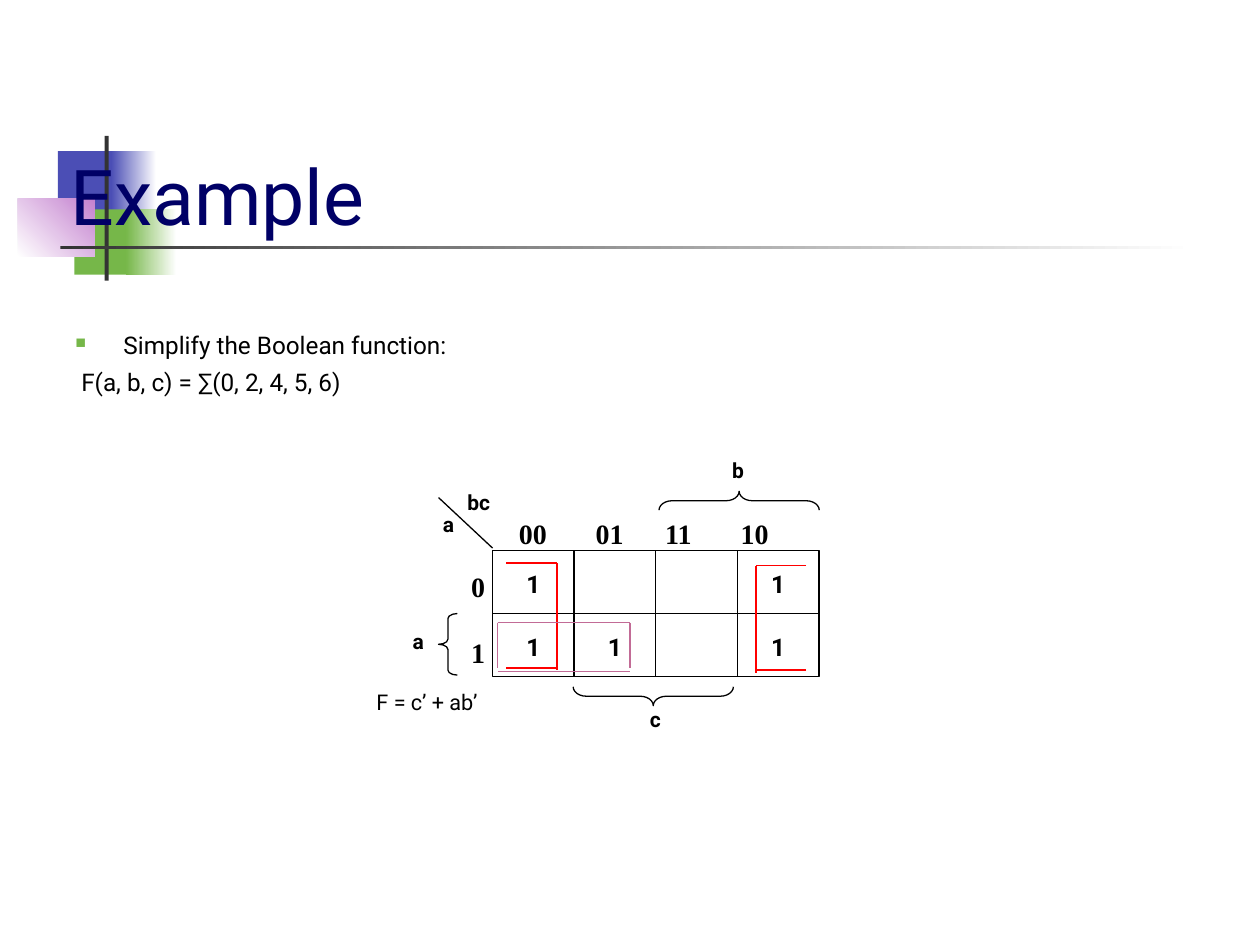
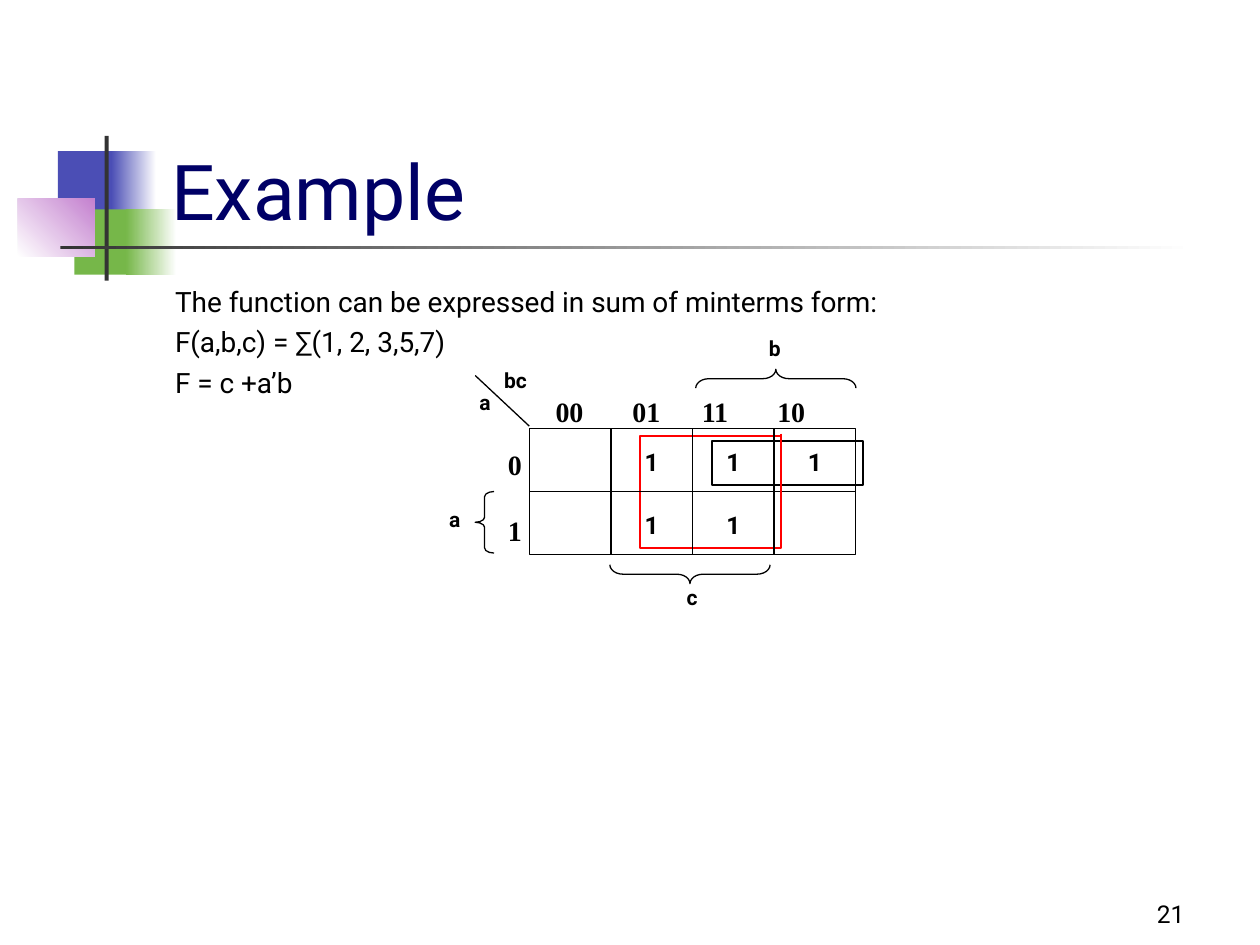
from lxml import etree
from pptx import Presentation
from pptx.dml.color import RGBColor
from pptx.enum.shapes import MSO_CONNECTOR, MSO_SHAPE
from pptx.enum.text import MSO_ANCHOR, PP_ALIGN
from pptx.oxml.ns import qn
from pptx.util import Cm, Pt

RECT, BRACE = MSO_SHAPE.RECTANGLE, MSO_SHAPE.LEFT_BRACE
STRAIGHT = MSO_CONNECTOR.STRAIGHT
LEFT, CENTER, RIGHT = PP_ALIGN.LEFT, PP_ALIGN.CENTER, PP_ALIGN.RIGHT
TOP, BOTTOM = MSO_ANCHOR.TOP, MSO_ANCHOR.BOTTOM
SANS, SERIF = "Roboto", "Times New Roman"
BLACK, WHITE, DARK, NAVY = "000000", "FFFFFF", "333333", "000066"
BLUE, GREEN, VIOLET = "4B4EB5", "76B749", "C481CF"
RED, PINK = "FF0000", "C26B96"
CELL_W, CELL_H = 1.645, 1.27


def rgb(value):
    return RGBColor.from_string(value)


def add_shape(slide, kind, x, y, w, h, fill=None, line=None, width=0.75):
    sp = slide.shapes.add_shape(kind, Cm(x), Cm(y), Cm(w), Cm(h))
    sp.shadow.inherit = False
    if fill:
        sp.fill.solid()
        sp.fill.fore_color.rgb = rgb(fill)
    else:
        sp.fill.background()
    if line:
        sp.line.color.rgb = rgb(line)
        sp.line.width = Pt(width)
    else:
        sp.line.fill.background()
    return sp


def add_fade(slide, x, y, w, h, start, end, angle=0):
    sp = add_shape(slide, RECT, x, y, w, h)
    sp.fill.gradient()
    sp.fill.gradient_angle = angle
    for stop, color in zip(sp.fill.gradient_stops, (start, end)):
        stop.color.rgb = rgb(color)


def add_line(slide, x1, y1, x2, y2, color=BLACK, width=0.75):
    cx = slide.shapes.add_connector(STRAIGHT, Cm(x1), Cm(y1), Cm(x2), Cm(y2))
    cx.line.color.rgb = rgb(color)
    cx.line.width = Pt(width)
    etree.SubElement(cx._element.spPr, qn("a:effectLst"))


def add_text(slide, x, y, w, h, lines, size, font=SANS, color=BLACK,
             bold=False, align=LEFT, anchor=TOP, before=0):
    tf = slide.shapes.add_textbox(Cm(x), Cm(y), Cm(w), Cm(h)).text_frame
    tf.word_wrap = True
    tf.vertical_anchor = anchor
    for i, line in enumerate(lines):
        p = tf.add_paragraph() if i else tf.paragraphs[0]
        p.text = line
        p.alignment = align
        p.space_before = Pt(before)
        p.font.size = Pt(size)
        p.font.name = font
        p.font.bold = bold
        p.font.color.rgb = rgb(color)
    return tf.paragraphs


def set_indent(p, left, first=0):
    pPr = p._p.get_or_add_pPr()
    pPr.set("marL", str(Cm(left)))
    pPr.set("indent", str(Cm(first)))
    return pPr


def add_bullet(p):
    pPr = set_indent(p, 0.97, -0.97)
    color = etree.Element(qn("a:buClr"))
    etree.SubElement(color, qn("a:srgbClr"), val=GREEN)
    bullet = [color, etree.Element(qn("a:buSzPct"), val="60000"),
              etree.Element(qn("a:buChar"), char="■")]
    at = list(pPr).index(pPr.find(qn("a:defRPr")))
    pPr[at:at] = bullet


def add_tabs(p, stops):
    pPr = p._p.get_or_add_pPr()
    tabs = etree.Element(qn("a:tabLst"))
    for stop in stops:
        etree.SubElement(tabs, qn("a:tab"), pos=str(Cm(stop)), algn="l")
    pPr.find(qn("a:defRPr")).addprevious(tabs)


def add_frame(slide, title, x, y, w):
    add_shape(slide, RECT, 1.17, 3.05, 1.22, 1.32, BLUE)
    add_fade(slide, 2.24, 3.05, 0.91, 1.32, BLUE, WHITE)
    add_shape(slide, RECT, 1.5, 4.22, 1.17, 1.32, GREEN)
    add_fade(slide, 2.54, 4.22, 1.02, 1.32, GREEN, WHITE)
    add_fade(slide, 0.36, 4.01, 1.55, 1.17, WHITE, VIOLET, 45)
    add_shape(slide, RECT, 2.11, 2.74, 0.08, 2.92, DARK)
    add_fade(slide, 1.22, 4.95, 22.86, 0.08, DARK, WHITE)
    add_text(slide, x, y, w, 3.18, [title], 44, color=NAVY, anchor=BOTTOM)


def add_karnaugh_map(slide, x, y, ones):
    w, h = 4 * CELL_W, 2 * CELL_H
    add_shape(slide, RECT, x, y, w, h, line=BLACK)
    add_line(slide, x, y + CELL_H, x + w, y + CELL_H)
    for col in range(1, 4):
        add_line(slide, x + col * CELL_W, y, x + col * CELL_W, y + h)
    for row, col in ones:
        add_text(slide, x + col * CELL_W, y + 0.25 + row * CELL_H,
                 CELL_W, 1.02, ["1"], 14, bold=True, align=CENTER)

    add_line(slide, x, y - 0.05, x - 1.09, y - 1.07)
    for label, dx, dy, lw, lh in (
            ("a", -1.5, -0.91, 1.22, 1.02), ("bc", -0.99, -1.35, 1.42, 0.81),
            ("a", -2.11, 1.45, 1.22, 1.02), ("b", 4.34, -2.01, 1.22, 0.81),
            ("c", 2.67, 3.02, 1.22, 0.76)):
        add_text(slide, x + dx, y + dy, lw, lh, [label], 12, bold=True,
                 align=CENTER)
    for dx, dy, length, rotation, curve in (
            (-1.09, 1.27, 1.24, 0, 0.27), (4.78, -2.62, 3.23, 90, 0.7),
            (3.05, 1.32, 3.23, 270, 0.7)):
        sp = add_shape(slide, BRACE, x + dx, y + dy, 0.38, length, line=BLACK)
        sp.rotation = rotation
        sp.adjustments[0] = curve

    rows = add_text(slide, x - 0.84, y + 0.25, 0.94, 2.16, ["0", "1"], 16,
                    SERIF, bold=True, align=RIGHT)
    rows[1].space_before = Pt(18.5)
    cols = add_text(slide, x + 0.28, y - 0.81, 6.12, 1.02,
                    ["00\t01\t11\t10"], 16, SERIF, bold=True)
    add_tabs(cols[0], (1.55, 2.95, 4.47))


def add_loops(slide, x, y):
    for x1, y1, x2, y2, color, width in (
            (1.3, 0.25, 1.3, 2.41, RED, 1), (5.31, 0.3, 5.31, 2.46, RED, 0.75),
            (1.3, 0.25, 0.28, 0.25, RED, 1), (1.3, 2.36, 0.28, 2.36, RED, 1),
            (6.32, 0.3, 5.31, 0.3, RED, 1), (6.32, 2.41, 5.31, 2.41, RED, 1),
            (0.1, 1.45, 2.77, 1.45, PINK, 0.75),
            (0.1, 2.44, 2.77, 2.44, PINK, 0.75),
            (2.77, 1.45, 2.77, 2.36, PINK, 0.75),
            (0.1, 1.45, 0.1, 2.36, PINK, 0.75)):
        add_line(slide, x + x1, y + y1, x + x2, y + y2, color, width)


def build_simplify(slide):
    add_frame(slide, "Example", 1.17, 1.8, 22.86)
    task, function, result = add_text(
        slide, 1.27, 6.53, 22.86, 10.67,
        ["Simplify the Boolean function:", "F(a, b, c) = ∑(0, 2, 4, 5, 6)",
         "F = c’ + ab’"], 13.9, before=4.5)
    add_bullet(task)
    set_indent(function, 0.12)
    set_indent(result, 6.07)
    result.space_before = Pt(167)
    result.font.size = Pt(12.4)
    x, y = 9.93, 11.1
    add_karnaugh_map(slide, x, y, ((0, 0), (0, 3), (1, 0), (1, 1), (1, 3)))
    add_loops(slide, x, y)


def build_minterms(slide):
    add_frame(slide, "Example", 3.2, 1.7, 21.64)
    x, y = 10.67, 8.64
    add_shape(slide, RECT, x + 2.24, y + 0.15, 2.84, 2.26, WHITE, RED, 1)
    add_shape(slide, RECT, x + 3.68, y + 0.25, 3.05, 0.89, WHITE, BLACK, 1)
    add_text(slide, 3.28, 5.61, 21.59, 11.43,
             ["The function can be expressed in sum of minterms form:",
              "F(a,b,c) = ∑(1, 2, 3,5,7)", "F = c +a’b"], 16, before=4)
    add_text(slide, 18.85, 17.58, 5.28, 1.27, ["21"], 14, align=RIGHT,
             anchor=BOTTOM)
    add_karnaugh_map(slide, x, y, ((0, 1), (0, 2), (0, 3), (1, 1), (1, 2)))
    add_line(slide, x + 5.08, y + 0.1, x + 5.08, y + 1.52, RED, 1)


def main():
    prs = Presentation()
    prs.slide_width, prs.slide_height = Cm(25.4), Cm(19.05)
    for build in (build_simplify, build_minterms):
        build(prs.slides.add_slide(prs.slide_layouts[6]))
    prs.save("out.pptx")


if __name__ == "__main__":
    main()
